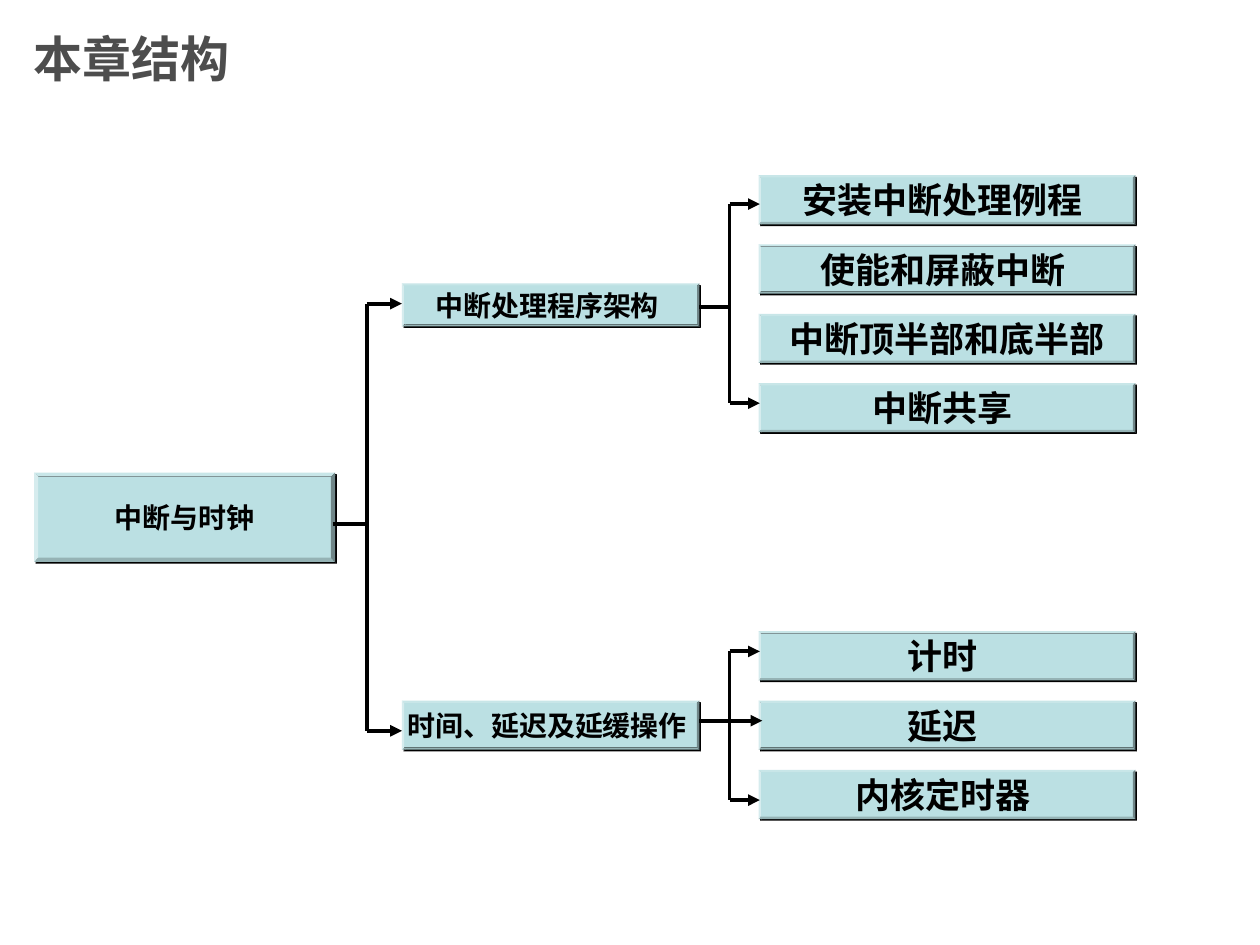
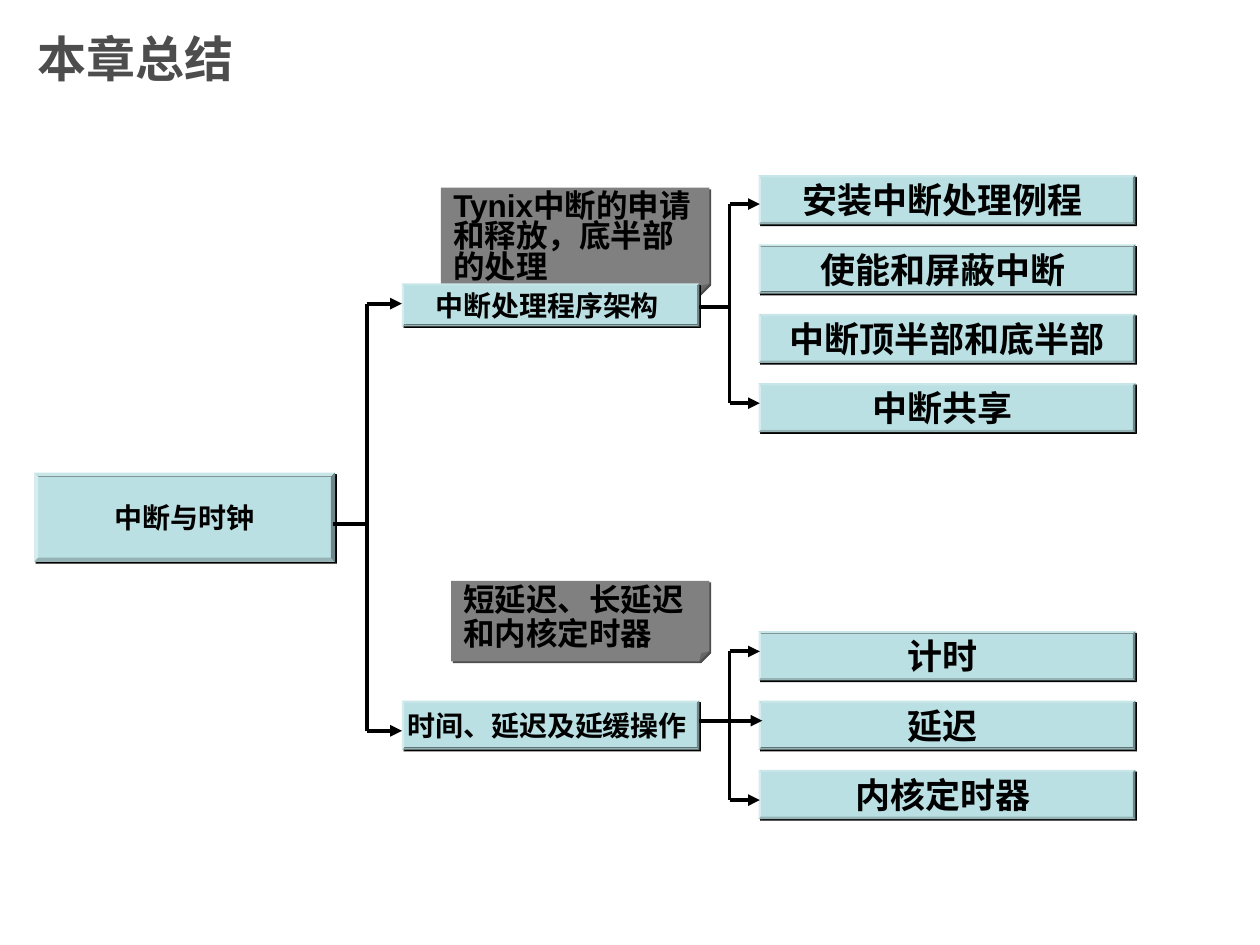
from lxml import etree
from pptx import Presentation
from pptx.dml.color import RGBColor
from pptx.enum.shapes import MSO_CONNECTOR, MSO_SHAPE
from pptx.enum.text import MSO_ANCHOR, PP_ALIGN
from pptx.oxml.ns import qn
from pptx.util import Inches, Pt

BEVEL = MSO_SHAPE.BEVEL
FOLDED_CORNER = MSO_SHAPE.FOLDED_CORNER
STRAIGHT = MSO_CONNECTOR.STRAIGHT
MIDDLE = MSO_ANCHOR.MIDDLE
CENTER = PP_ALIGN.CENTER
LEFT = PP_ALIGN.LEFT

COLORS = {
    "title": "4D4D4D",
    "text": "000000",
    "box": "BBE0E3",
    "note": "808080",
    "line": "000000",
    "box_shadow": "000000",
    "note_shadow": "4D4D4D",
}
ASIAN_FONT = "Noto Sans CJK SC"

DETAIL_LEFT = 6.02
DETAIL_WIDTH = 2.99
DETAIL_HEIGHT = 0.39
DETAIL_STEP = 0.55
TOPIC_LEFT = 3.19
TOPIC_WIDTH = 2.36
TOPIC_RIGHT = TOPIC_LEFT + TOPIC_WIDTH

INTERRUPT_DETAILS = ["安装中断处理例程 ", "使能和屏蔽中断 ", "中断顶半部和底半部", "中断共享 "]
TIME_DETAILS = ["计时 ", "延迟 ", "内核定时器 "]


def write_text(frame, lines, *, size, font="Arial", color="text", align=LEFT,
               before=0, spacing=1.0, bottom=0.05, wrap=True):
    frame.word_wrap = wrap
    frame.vertical_anchor = MIDDLE
    frame.margin_bottom = Inches(bottom)
    for index, line in enumerate(lines):
        paragraph = frame.add_paragraph() if index else frame.paragraphs[0]
        paragraph.alignment = align
        paragraph.space_before = Pt(before)
        paragraph.line_spacing = spacing
        run = paragraph.add_run()
        run.text = line
        run.font.size = Pt(size)
        run.font.bold = True
        run.font.name = font
        run.font.color.rgb = RGBColor.from_string(COLORS[color])
        asian = etree.SubElement(run.font._element, qn("a:ea"))
        asian.set("typeface", ASIAN_FONT)


class ChapterMap:
    def __init__(self, presentation):
        self.presentation = presentation
        self.slide = None

    def new_slide(self, title, left):
        self.slide = self.presentation.slides.add_slide(self.presentation.slide_layouts[6])
        shape = self.slide.shapes.add_textbox(Inches(left), 0, Inches(7.5), Inches(0.92))
        write_text(shape.text_frame, [title], size=28, color="title")

    def shadowed_shape(self, kind, left, top, width, height, adjustment, fill):
        shape = self.slide.shapes.add_shape(
            kind, Inches(left), Inches(top), Inches(width), Inches(height))
        properties = shape._element.spPr
        guides = properties.find(qn("a:prstGeom")).find(qn("a:avLst"))
        for guide in list(guides):
            guides.remove(guide)
        etree.SubElement(guides, qn("a:gd"), name="adj", fmla=f"val {round(adjustment * 100000)}")
        shape.fill.solid()
        shape.fill.fore_color.rgb = RGBColor.from_string(COLORS[fill])
        shape.line.fill.background()
        shape.shadow.inherit = False
        effects = properties.find(qn("a:effectLst"))
        shadow = etree.SubElement(effects, qn("a:outerShdw"), dist=str(Pt(1.4)),
                                  dir="2700000", algn="ctr", rotWithShape="0")
        etree.SubElement(shadow, qn("a:srgbClr"), val=COLORS[fill + "_shadow"])
        return shape

    def box(self, text, left, top, width, height, **text_format):
        shape = self.shadowed_shape(BEVEL, left, top, width, height, 0.047, "box")
        write_text(shape.text_frame, [text], align=CENTER, wrap=False, **text_format)

    def topic(self, text, top, height):
        self.box(text, TOPIC_LEFT, top, TOPIC_WIDTH, height,
                 size=16, font="Arial Narrow", before=11.2)

    def details(self, texts, top):
        for index, text in enumerate(texts):
            self.box(text, DETAIL_LEFT, top + index * DETAIL_STEP,
                     DETAIL_WIDTH, DETAIL_HEIGHT, size=20, before=12.5)

    def note(self, lines, left, top, width, height):
        shape = self.shadowed_shape(FOLDED_CORNER, left, top, width, height, 0.125, "note")
        write_text(shape.text_frame, lines, size=18, before=2.2, spacing=0.8, bottom=0)

    def line(self, x1, y1, x2, y2, arrow=False):
        connector = self.slide.shapes.add_connector(
            STRAIGHT, Inches(x1), Inches(y1), Inches(x2), Inches(y2))
        connector.line.width = Pt(2.24)
        connector.line.color.rgb = RGBColor.from_string(COLORS["line"])
        properties = connector._element.spPr
        if arrow:
            etree.SubElement(properties.find(qn("a:ln")), qn("a:tailEnd"), type="triangle")
        etree.SubElement(properties, qn("a:effectLst"))

    def branch(self, start, trunk, end, middle, targets, through=False):
        self.line(start, middle, end + 0.02 if through else trunk, middle, arrow=through)
        for target in targets:
            self.line(trunk, middle, trunk, target)
            self.line(trunk, target, end, target, arrow=True)

    def diagram(self):
        self.topic("中断处理程序架构 ", 2.25, 0.34)
        self.box("中断与时钟", 0.27, 3.75, 2.39, 0.71, size=16, font=ASIAN_FONT, before=10)
        self.topic("时间、延迟及延缓操作 ", 5.56, 0.39)
        self.details(INTERRUPT_DETAILS, 1.39)
        self.details(TIME_DETAILS, 5.01)
        self.branch(2.64, 2.91, TOPIC_LEFT, 4.16, [2.41, 5.8])
        self.branch(TOPIC_RIGHT, 5.79, 6.03, 2.44, [1.62, 3.2])
        self.branch(TOPIC_RIGHT, 5.79, 6.03, 5.72, [5.17, 6.35], through=True)


presentation = Presentation()
presentation.slide_width = Inches(10)
presentation.slide_height = Inches(7.5)
chapter = ChapterMap(presentation)

chapter.new_slide("本章结构", 0.17)
chapter.diagram()

chapter.new_slide("本章总结", 0.2)
chapter.note(["Tynix中断的申请和释放，底半部的处理"], 3.5, 1.49, 2.13, 0.87)
chapter.note(["短延迟、长延迟", "和内核定时器"], 3.58, 4.61, 2.05, 0.64)
chapter.diagram()

presentation.save("out.pptx")
